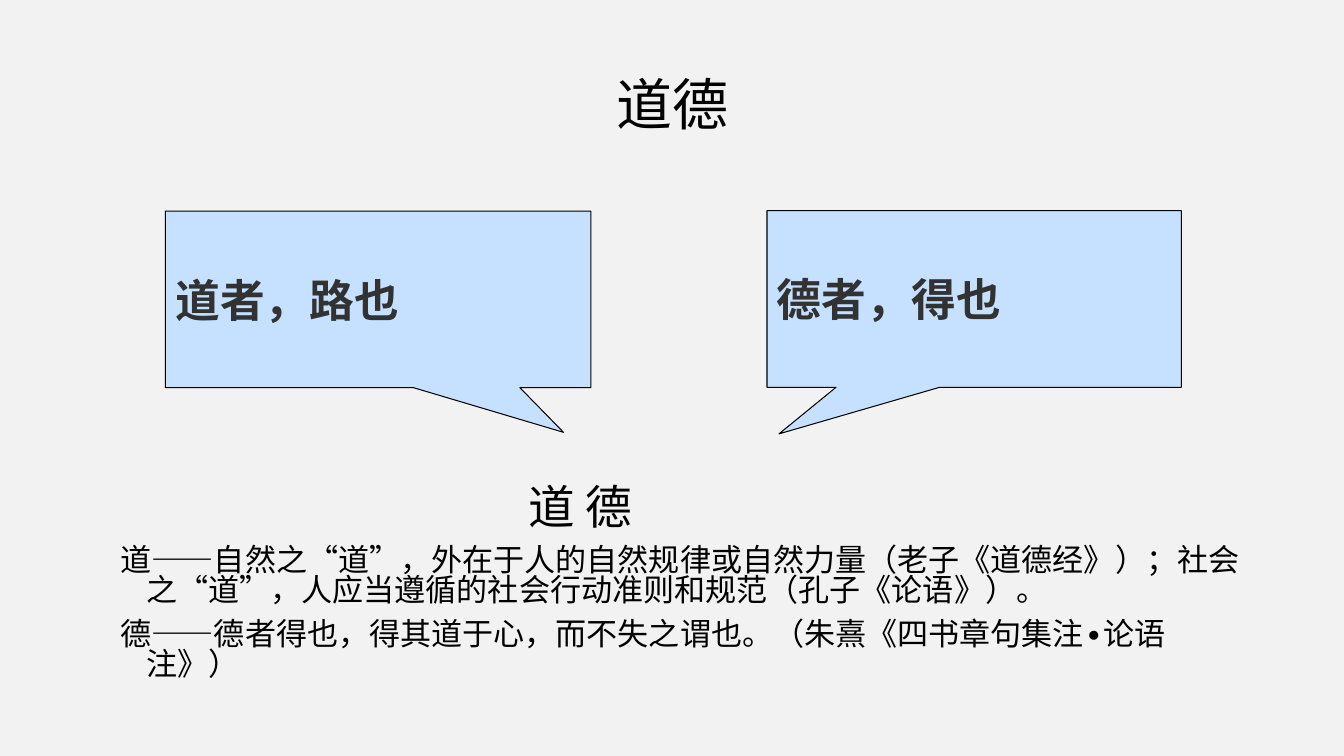
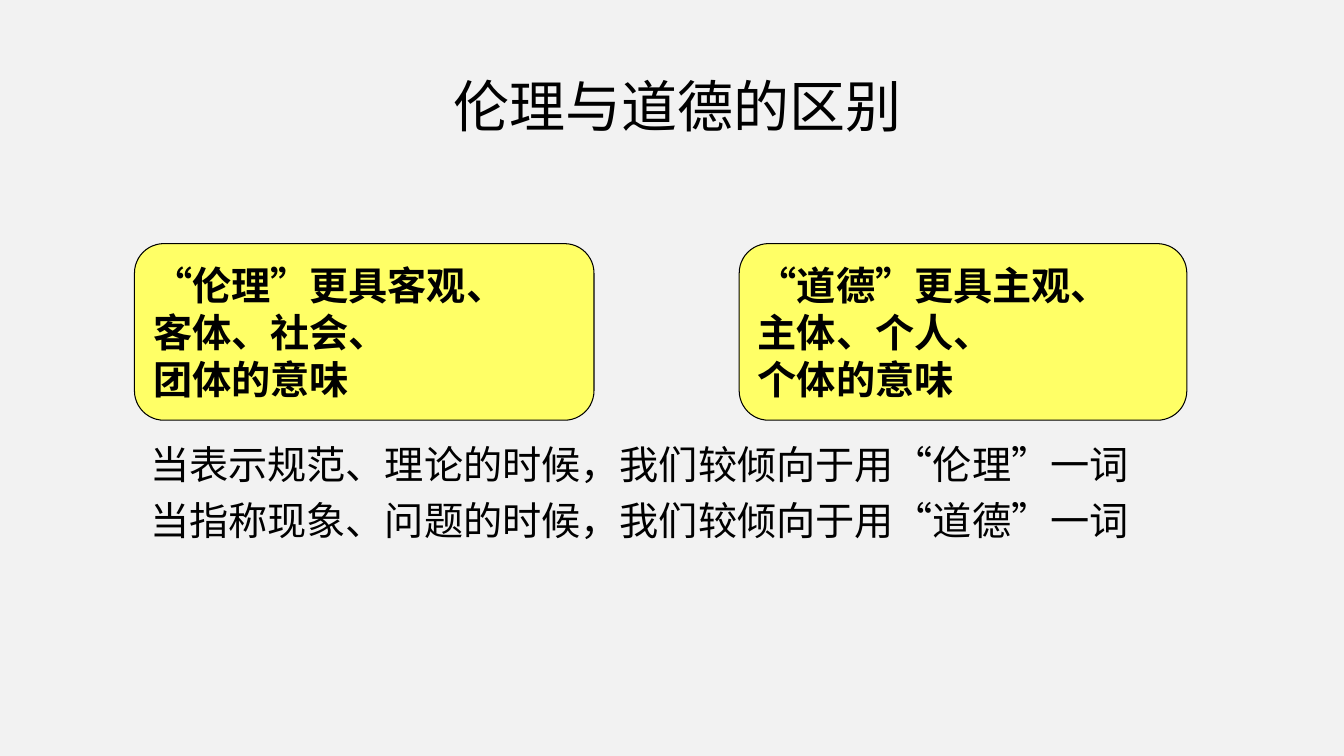
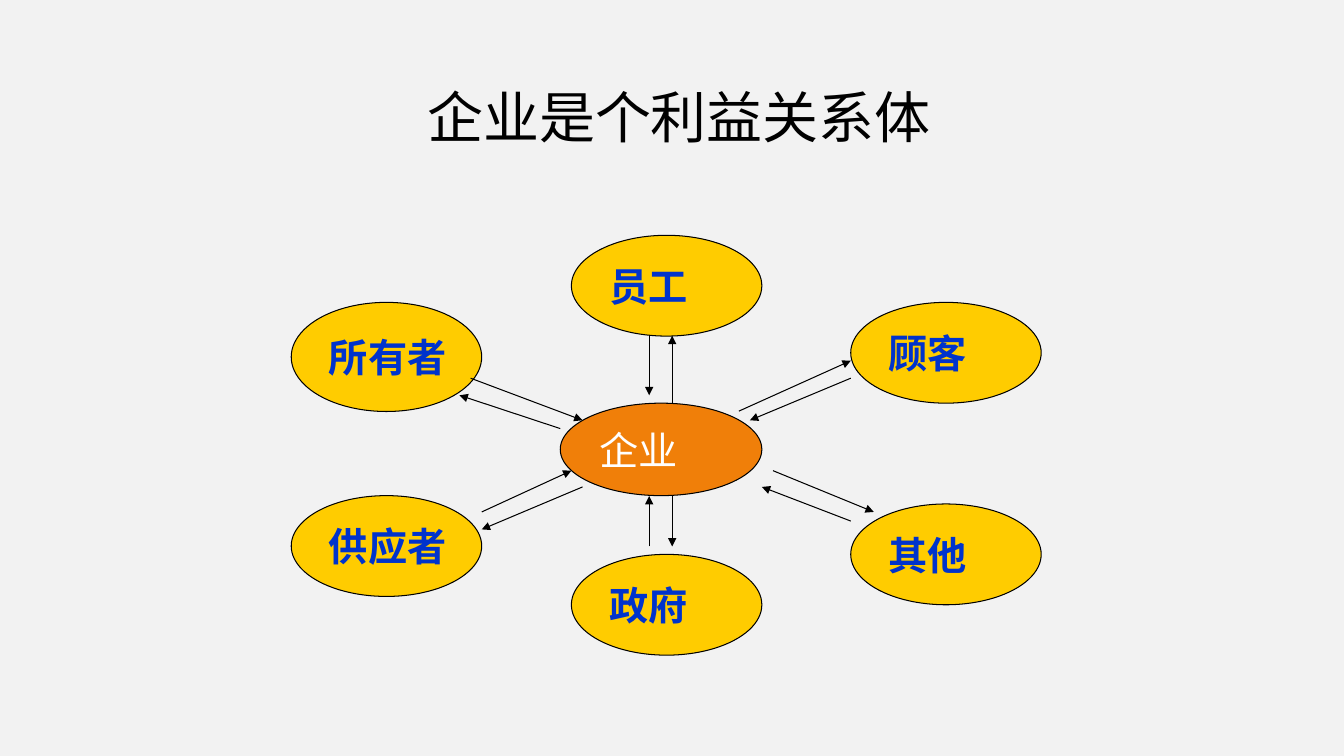
from dataclasses import dataclass

from lxml.etree import SubElement
from pptx import Presentation
from pptx.dml.color import RGBColor
from pptx.enum.shapes import MSO_CONNECTOR, MSO_SHAPE
from pptx.enum.text import MSO_ANCHOR, MSO_AUTO_SIZE, PP_ALIGN
from pptx.oxml.ns import qn
from pptx.util import Cm, Pt


@dataclass(frozen=True)
class Theme:
    background: RGBColor = RGBColor(0xF2, 0xF2, 0xF2)
    ink: RGBColor = RGBColor(0, 0, 0)
    callout_fill: RGBColor = RGBColor(0xC5, 0xE1, 0xFF)
    callout_ink: RGBColor = RGBColor(0x32, 0x32, 0x32)
    card_fill: RGBColor = RGBColor(0xFF, 0xFF, 0x66)
    hub_fill: RGBColor = RGBColor(0xF0, 0x7F, 0x09)
    hub_ink: RGBColor = RGBColor(0xFF, 0xFF, 0xFF)
    party_fill: RGBColor = RGBColor(0xFF, 0xCC, 0x00)
    party_ink: RGBColor = RGBColor(0x00, 0x33, 0xCC)
    title_font: str = "Montserrat"
    text_font: str = "Arial"
    serif_font: str = "Times New Roman"
    title_size: Pt = Pt(40)
    keyword_size: Pt = Pt(33.3)
    callout_size: Pt = Pt(32)
    label_size: Pt = Pt(28)
    note_size: Pt = Pt(22.2)
    line_width: Pt = Pt(0.75)


theme = Theme()
deck = Presentation()
deck.slide_width, deck.slide_height = Cm(33.87), Cm(19.05)
background = deck.slide_master.background.fill
background.solid()
background.fore_color.rgb = theme.background
BODY_LAYOUT, TITLE_LAYOUT = deck.slide_layouts[1], deck.slide_layouts[5]


def add_page(layout, title, place):
    page = deck.slides.add_slide(layout)
    box = page.shapes.title
    box.left, box.top, box.width, box.height = map(Cm, place)
    frame = box.text_frame
    frame.text = title
    frame.auto_size = MSO_AUTO_SIZE.NONE
    frame.vertical_anchor = MSO_ANCHOR.MIDDLE
    para = frame.paragraphs[0]
    para.alignment = PP_ALIGN.CENTER
    para.line_spacing = 0.9
    font = para.runs[0].font
    font.name, font.size, font.color.rgb = theme.title_font, theme.title_size, theme.ink
    return page


def add_label(page, kind, place, text, fill, ink, name, size=theme.label_size, bold=True, wrap=False):
    """Add an outlined shape with left-aligned text, one paragraph a line."""
    shape = page.shapes.add_shape(kind, *map(Cm, place))
    shape.shadow.inherit = False
    shape.fill.solid()
    shape.fill.fore_color.rgb = fill
    shape.line.color.rgb = theme.ink
    shape.line.width = theme.line_width
    frame = shape.text_frame
    frame.text = text
    frame.word_wrap = wrap
    frame.vertical_anchor = MSO_ANCHOR.MIDDLE
    for para in frame.paragraphs:
        para.alignment = PP_ALIGN.LEFT
        font = para.runs[0].font
        font.name, font.size, font.bold, font.color.rgb = name, size, bold, ink
    return shape


morality_page = add_page(BODY_LAYOUT, "道德", (4.24, 1.73, 25.4, 1.96))
difference_page = add_page(BODY_LAYOUT, "伦理与道德的区别", (4.8, 1.85, 24.56, 1.8))
company_page = add_page(TITLE_LAYOUT, "企业是个利益关系体", (5.64, 2.11, 22.94, 1.85))

# Body text: each paragraph has a size, a left margin, a first-line indent and its spans
HANGING = (Cm(0.64), Cm(-0.64))
bodies = [
    (morality_page, (2.79, 12.2, 29.06, 5.7), 0.8, [
        (theme.keyword_size, (Cm(10.28), 0), ["道 德"]),
        (theme.note_size, HANGING, [
            "道——自然之“道”，外在于人的自然规律或自然力量（老子《道德经》）；"
            "社会之“道”，人应当遵循的社会行动准则和规范（孔子《论语》）。"]),
        (theme.note_size, HANGING, [
            "德——德者得也，得其道于心，而不失之谓也。（朱熹《四书章句集注∙论语注》）"]),
    ]),
    (difference_page, (3.53, 11.1, 27.23, 5.84), 0.9, [
        (theme.label_size, (0, 0), [f"当{case}的时候，我们较倾向于用", "“", word, "”", "一词"])
        for case, word in (("表示规范、理论", "伦理"), ("指称现象、问题", "道德"))
    ]),
]
for page, place, line_spacing, paragraphs in bodies:
    box = page.placeholders[1]
    box.left, box.top, box.width, box.height = map(Cm, place)
    frame = box.text_frame
    frame.auto_size = MSO_AUTO_SIZE.NONE
    for index, (size, (margin, indent), spans) in enumerate(paragraphs):
        para = frame.paragraphs[0] if index == 0 else frame.add_paragraph()
        para.line_spacing = line_spacing
        para.space_before = Pt(10 if index else 0)
        properties = para._p.get_or_add_pPr()
        properties.set("marL", str(margin))
        properties.set("indent", str(indent))
        SubElement(properties, qn("a:buNone"))
        for text in spans:
            span = para.add_run()
            span.text = text
            span.font.name = theme.serif_font if text in "“”" else theme.text_font
            span.font.size = size
            span.font.color.rgb = theme.ink

callouts = [
    ("德者，得也", (19.33, 5.31, 10.44, 4.45), (-0.471, 0.764)),
    ("道者，路也", (4.17, 5.32, 10.72, 4.45), (0.436, 0.753)),
]
for text, place, tip in callouts:
    callout = add_label(morality_page, MSO_SHAPE.RECTANGULAR_CALLOUT, place, text, theme.callout_fill,
                        theme.callout_ink, theme.text_font, theme.callout_size, wrap=True)
    callout.adjustments[0], callout.adjustments[1] = tip

cards = [
    ("“伦理”更具客观、\n客体、社会、\n团体的意味", 3.39, 11.58),
    ("“道德”更具主观、\n主体、个人、\n个体的意味", 18.63, 11.28),
]
for text, left, width in cards:
    add_label(difference_page, MSO_SHAPE.ROUNDED_RECTANGLE, (left, 6.14, width, 4.45), text,
              theme.card_fill, theme.ink, theme.text_font)

add_label(company_page, MSO_SHAPE.OVAL, (14.12, 10.16, 5.08, 2.33), "企业", theme.hub_fill,
          theme.hub_ink, theme.serif_font, bold=False)
LEFT, MIDDLE, RIGHT = 7.34, 14.4, 21.44
parties = [
    ("所有者", LEFT, 7.62, 2.75),
    ("员工", MIDDLE, 5.93, 2.54),
    ("顾客", RIGHT, 7.62, 2.54),
    ("供应者", LEFT, 12.49, 2.54),
    ("政府", MIDDLE, 13.97, 2.54),
    ("其他", RIGHT, 12.7, 2.54),
]
for text, left, top, height in parties:
    add_label(company_page, MSO_SHAPE.OVAL, (left, top, 4.8, height), text, theme.party_fill,
              theme.party_ink, theme.serif_font)

# Each arrow runs from its first point to its second: x, y, x, y
arrows = [
    (12.14, 12.9, 14.4, 11.86), (14.68, 12.27, 12.14, 13.34),
    (11.86, 9.53, 14.68, 10.59), (14.12, 10.8, 11.58, 9.96),
    (16.36, 13.77, 16.36, 12.5), (16.94, 12.5, 16.94, 13.77),
    (16.36, 8.46, 16.36, 9.96), (16.94, 10.16, 16.94, 8.46),
    (18.62, 10.36, 21.44, 9.09), (21.44, 9.53, 18.9, 10.59),
    (19.48, 11.86, 22.02, 12.9), (21.44, 13.13, 19.2, 12.27),
]
for ends in arrows:
    arrow = company_page.shapes.add_connector(MSO_CONNECTOR.STRAIGHT, *map(Cm, ends))
    arrow.line.color.rgb = theme.ink
    arrow.line.width = theme.line_width
    SubElement(arrow.line._get_or_add_ln(), qn("a:tailEnd"), type="triangle")
    SubElement(arrow._element.spPr, qn("a:effectLst"))

deck.save("out.pptx")
